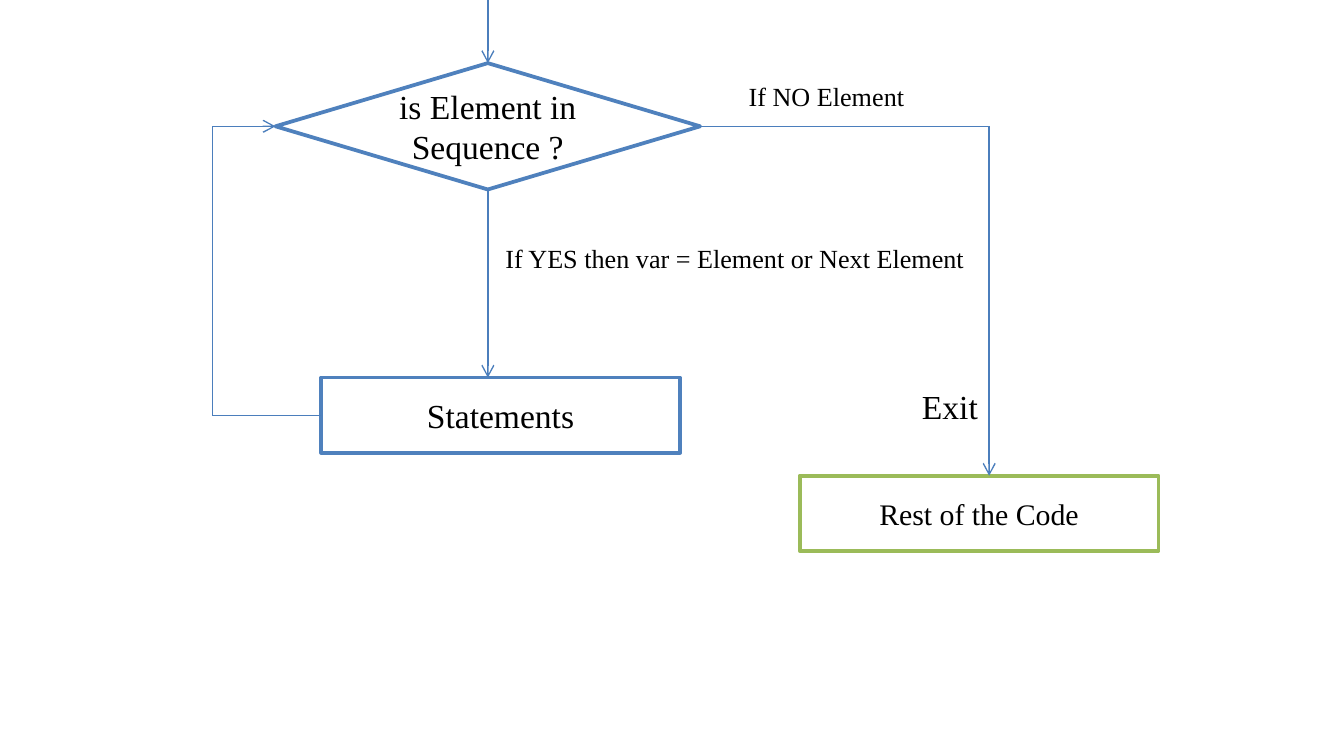
import pptx
import pptx.dml.color
import pptx.enum.shapes
import pptx.enum.text
import pptx.oxml
import pptx.oxml.ns
import pptx.util

Inches = pptx.util.Inches
Pt = pptx.util.Pt
RGB = pptx.dml.color.RGBColor.from_string
SHAPE = pptx.enum.shapes.MSO_SHAPE
COLORS = {"paper": "FFFFFF", "ink": "000000", "loop": "4F81BD",
          "exit": "9BBB59", "flow": "4B7EBC"}
FRAME = {"margin_left": Inches(0.07), "margin_right": Inches(0.07),
         "margin_top": Inches(0.04), "margin_bottom": Inches(0.04)}
TOP, LEFT, BOTTOM, RIGHT = range(4)


def write(frame, text, size, align, frame_format):
    for name, value in {**FRAME, **frame_format}.items():
        setattr(frame, name, value)
    paragraph = frame.paragraphs[0]
    paragraph.alignment = align
    run = paragraph.add_run()
    run.text = text
    for name, value in {"name": "Times New Roman", "size": Pt(size)}.items():
        setattr(run.font, name, value)
    run.font.color.rgb = RGB(COLORS["ink"])


# Widescreen 16:9 slide
prs = pptx.Presentation()
prs.slide_width = Inches(10)
prs.slide_height = prs.slide_width * 9 // 16
slide = prs.slides.add_slide(prs.slide_layouts[6])

# Flowchart steps
steps = {}
for key, kind, box, outline, text, size in [
    ("decision", SHAPE.FLOWCHART_DECISION, (2.05, 0.47, 3.16, 0.94), "loop",
     "is Element in Sequence ?", 18),
    ("statements", SHAPE.RECTANGLE, (2.39, 2.81, 2.67, 0.56), "loop",
     "Statements", 18),
    ("rest", SHAPE.RECTANGLE, (5.95, 3.54, 2.67, 0.56), "exit",
     "Rest of the Code", 16),
]:
    step = slide.shapes.add_shape(kind, *map(Inches, box))
    step.shadow.inherit = False
    step.fill.solid()
    step.fill.fore_color.rgb = RGB(COLORS["paper"])
    step.line.color.rgb = RGB(COLORS[outline])
    step.line.width = Pt(2)
    write(step.text_frame, text, size, pptx.enum.text.PP_ALIGN.CENTER,
          {"word_wrap": True,
           "vertical_anchor": pptx.enum.text.MSO_ANCHOR.MIDDLE})
    steps[key] = step

# Flow lines: start, end, arrowhead, joined step at start, joined step at end
entry_x, loop_x, exit_x = 3.63, 1.58, 7.36
decision_y, statements_y = 0.94, 3.09
for start, end, arrow, begin_at, end_at in [
    ((entry_x, -0.02), (entry_x, 0.47), True, None, ("decision", TOP)),
    ((entry_x, 1.41), (entry_x, 2.81), True, ("decision", BOTTOM), None),
    ((loop_x, statements_y), (2.39, statements_y), False,
     None, ("statements", LEFT)),
    ((loop_x, decision_y), (loop_x, statements_y), False, None, None),
    ((loop_x, decision_y), (2.05, decision_y), True, None, ("decision", LEFT)),
    ((5.21, decision_y), (exit_x, decision_y), False,
     ("decision", RIGHT), None),
    ((exit_x, decision_y), (exit_x, 3.54), True, None, None),
]:
    flow = slide.shapes.add_connector(
        pptx.enum.shapes.MSO_CONNECTOR.STRAIGHT, *map(Inches, start + end))
    if begin_at:
        flow.begin_connect(steps[begin_at[0]], begin_at[1])
    if end_at:
        flow.end_connect(steps[end_at[0]], end_at[1])
    flow.line.color.rgb = RGB(COLORS["flow"])
    flow.line.width = Pt(0.75)
    properties = flow.element.spPr
    properties.append(pptx.oxml.parse_xml(
        f"<a:effectLst {pptx.oxml.ns.nsdecls('a')}/>"))
    if arrow:
        properties.find(pptx.oxml.ns.qn("a:ln")).append(pptx.oxml.parse_xml(
            f"<a:tailEnd {pptx.oxml.ns.nsdecls('a')} type='arrow'/>"))

# Branch labels
for box, text, size in [
    ((5.5, 0.56, 1.31, 0.31), "If NO Element", 14),
    ((3.69, 1.76, 3.58, 0.31), "If YES then var = Element or Next Element", 14),
    ((6.79, 2.83, 0.57, 0.38), "Exit", 18),
]:
    label = slide.shapes.add_textbox(*map(Inches, box))
    write(label.text_frame, text, size, pptx.enum.text.PP_ALIGN.LEFT,
          {"word_wrap": False,
           "auto_size": pptx.enum.text.MSO_AUTO_SIZE.SHAPE_TO_FIT_TEXT})

prs.save("out.pptx")
